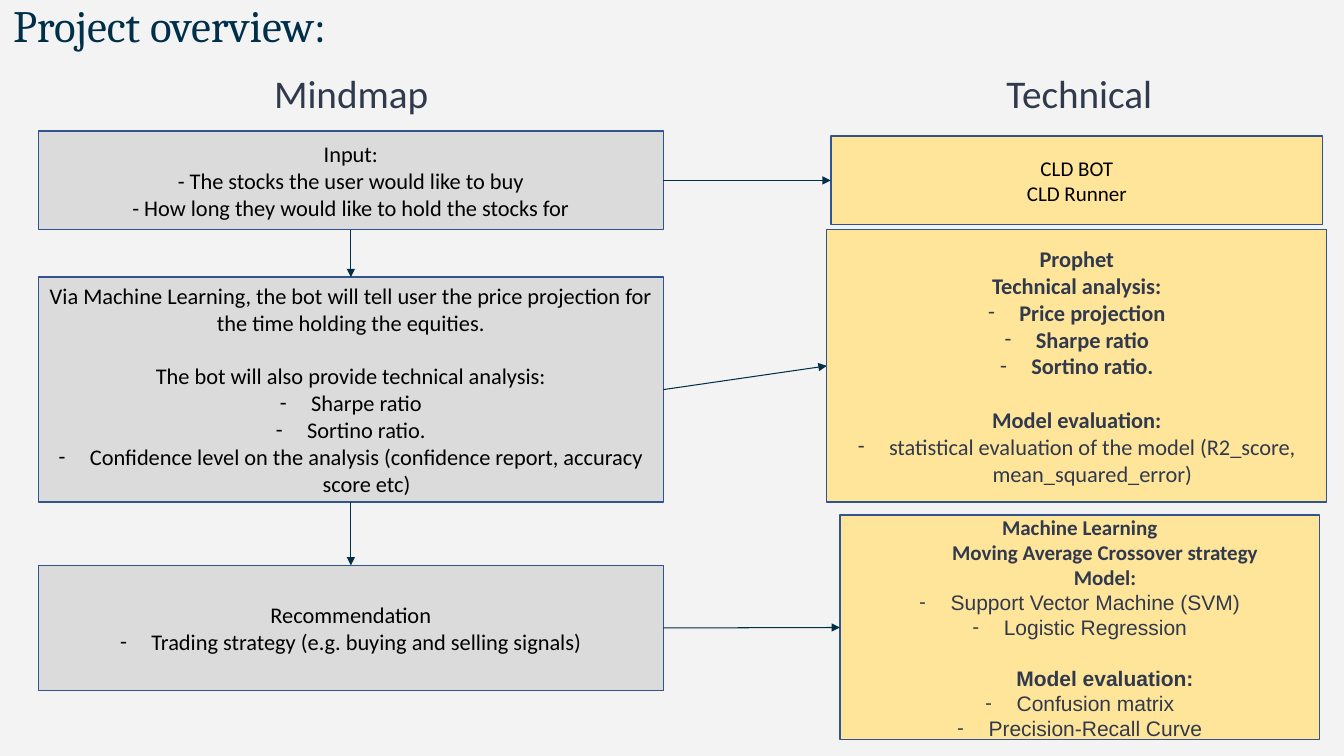
from dataclasses import dataclass
from lxml.etree import SubElement
from pptx import Presentation
from pptx.dml.color import RGBColor as Rgb
from pptx.enum.shapes import MSO_CONNECTOR as Link, MSO_SHAPE as Shape
from pptx.enum.text import MSO_ANCHOR as Anchor, PP_ALIGN as Align
from pptx.oxml.ns import qn
from pptx.util import Inches, Pt


@dataclass(frozen=True)
class Theme:
    """Colours, fonts and type sizes."""
    back: str = "F3F3F3"
    grey: str = "DBDBDB"
    gold: str = "FEE599"
    edge: str = "31538F"
    navy: str = "002F4A"
    slate: str = "31394D"
    black: str = "000000"
    serif: str = "Cambria"
    sans: str = "Calibri"
    plain: str = "Arial"
    title: int = 32
    head: int = 28
    body: int = 16
    small: int = 15


@dataclass(frozen=True)
class Line:
    """One paragraph of a box."""
    text: str
    dash: bool = False
    bold: bool = False
    left: float = 0
    gap: int = 0
    face: str = Theme.sans


T = Theme()


def style(para, face, size, tint, bold=False):
    """Set the font of a paragraph."""
    font = para.font
    font.name, font.size, font.bold = face, Pt(size), bold
    font.color.rgb = Rgb.from_string(tint)


def indent(para, left, dash):
    """Indent a paragraph, hanging it from a dash if asked."""
    props = para._p.get_or_add_pPr()
    props.set("marL", str(Inches(left)))
    props.set("indent", str(Inches(-left if dash else 0)))
    if dash:
        SubElement(props, qn("a:buFont"), typeface=T.sans)
        SubElement(props, qn("a:buChar"), char="-")


def write(frame, lines, size, tint):
    """Fill a text frame with centred lines."""
    for i, line in enumerate(lines):
        para = frame.paragraphs[0] if i == 0 else frame.add_paragraph()
        para.text = line.text
        para.alignment = Align.CENTER
        if line.gap:
            para.space_before = Pt(line.gap)
        if line.dash or line.left:
            indent(para, 0.31 if line.dash else line.left, line.dash)
        style(para, line.face, size, tint, line.bold)


def panel(slide, box, fill, lines, size=T.body, tint=T.black):
    """Draw a filled box with its lines."""
    shape = slide.shapes.add_shape(Shape.RECTANGLE, *map(Inches, box))
    shape.shadow.inherit = False
    shape.fill.solid()
    shape.fill.fore_color.rgb = Rgb.from_string(fill)
    shape.line.color.rgb = Rgb.from_string(T.edge)
    shape.line.width = Pt(1)
    frame = shape.text_frame
    frame.word_wrap = True
    frame.vertical_anchor = Anchor.MIDDLE
    write(frame, lines, size, tint)
    return shape


def label(slide, box, text, face, size, tint, align, inset):
    """Place a heading."""
    frame = slide.shapes.add_textbox(*map(Inches, box)).text_frame
    frame.word_wrap = True
    frame.margin_left = frame.margin_right = Inches(inset[0])
    frame.margin_top = frame.margin_bottom = Inches(inset[1])
    para = frame.paragraphs[0]
    para.text = text
    para.alignment = align
    style(para, face, size, tint)


def arrow(slide, start, out, end, into):
    """Join two boxes with an arrow."""
    link = slide.shapes.add_connector(Link.STRAIGHT, 0, 0, 0, 0)
    link.begin_connect(start, out)
    link.end_connect(end, into)
    link.line.color.rgb = Rgb.from_string(T.navy)
    link.line.width = Pt(0.75)
    SubElement(link.line._get_or_add_ln(), qn("a:tailEnd"), type="triangle")
    SubElement(link._element.spPr, qn("a:effectLst"))


def mind(slide, left, top, width):
    """Build the grey column of steps."""
    steps = [
        (0, 0.98, [
            Line("Input:"),
            Line("- The stocks the user would like to buy"),
            Line("- How long they would like to hold the stocks for")]),
        (1.45, 2.23, [
            Line("Via Machine Learning, the bot will tell user the price "
                 "projection for the time holding the equities."),
            Line("The bot will also provide technical analysis:", gap=19),
            Line("Sharpe ratio", dash=True),
            Line("Sortino ratio.", dash=True),
            Line("Confidence level on the analysis (confidence report, "
                 "accuracy score etc)", dash=True)]),
        (4.31, 1.24, [
            Line("Recommendation"),
            Line("Trading strategy (e.g. buying and selling signals)",
                 dash=True)]),
    ]
    label(slide, (left + 2.24, top - 0.66, 2.07, 0.57), "Mindmap",
          T.sans, T.head, T.slate, Align.LEFT, (0.1, 0.05))
    return [panel(slide, (left, top + drop, width, tall), T.grey, lines)
            for drop, tall, lines in steps]


def tech(slide, left, top):
    """Build the gold column of tools."""
    label(slide, (left + 0.19, top - 0.71, 4.63, 0.57), "Technical",
          T.sans, T.head, T.slate, Align.CENTER, (0.1, 0.05))
    tools = [Line("CLD BOT"), Line("CLD Runner")]
    study = [
        Line("Prophet", bold=True),
        Line("Technical analysis:", bold=True),
        Line("Price projection", dash=True, bold=True),
        Line("Sharpe ratio", dash=True, bold=True),
        Line("Sortino ratio.", dash=True, bold=True),
        Line("Model evaluation:", bold=True, gap=19),
        Line("statistical evaluation of the model (R2_score, "
             "mean_squared_error)", dash=True)]
    model = [
        Line("Machine Learning", bold=True),
        Line("Moving Average Crossover strategy", bold=True, left=0.5),
        Line("Model:", bold=True, left=0.5),
        Line("Support Vector Machine (SVM)", dash=True, face=T.plain),
        Line("Logistic Regression", dash=True, face=T.plain),
        Line("Model evaluation:", bold=True, left=0.5, gap=18, face=T.plain),
        Line("Confusion matrix", dash=True, face=T.plain),
        Line("Precision-Recall Curve", dash=True, face=T.plain)]
    return [
        panel(slide, (left + 0.04, top, 4.88, 0.88), T.gold, tools, T.small),
        panel(slide, (left, top + 0.93, 4.96, 2.7), T.gold, study,
              T.body, T.slate),
        panel(slide, (left + 0.13, top + 3.76, 4.76, 2.23), T.gold, model,
              T.small, T.slate)]


def main():
    """Build and save the slide."""
    deck = Presentation()
    deck.slide_width, deck.slide_height = Inches(13.33), Inches(7.5)
    slide = deck.slides.add_slide(deck.slide_layouts[6])
    slide.background.fill.solid()
    slide.background.fill.fore_color.rgb = Rgb.from_string(T.back)
    label(slide, (0, -0.15, 11.5, 1.45), "Project overview:",
          T.serif, T.title, T.navy, Align.LEFT, (0.13, 0.13))
    steps = mind(slide, 0.38, 1.3, 6.2)
    tools = tech(slide, 8.2, 1.35)
    for start, end in zip(steps, steps[1:]):
        arrow(slide, start, 2, end, 0)
    for start, end in zip(steps, tools):
        arrow(slide, start, 3, end, 1)
    deck.save("out.pptx")


if __name__ == "__main__":
    main()
